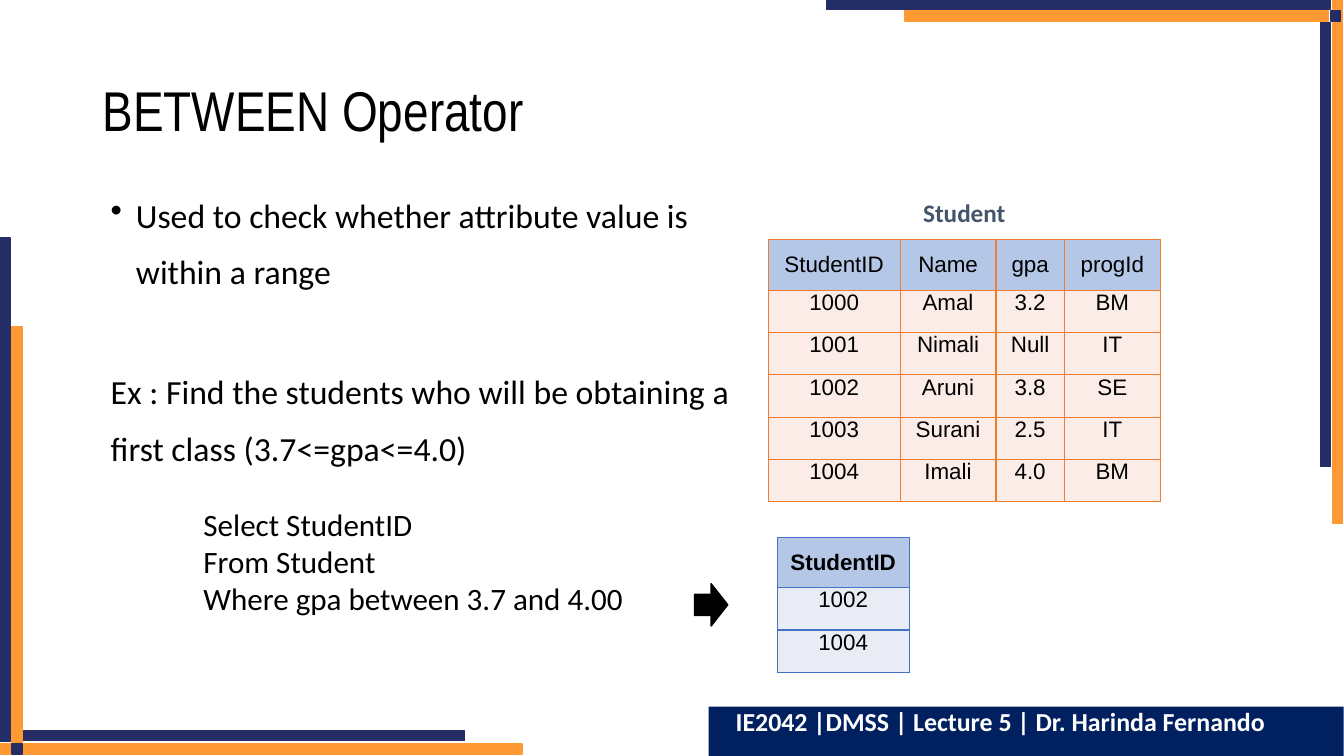
from dataclasses import dataclass
from typing import NamedTuple

from lxml import etree
from pptx import Presentation
from pptx import util as u
from pptx.dml import color as dml
from pptx.enum import shapes, text
from pptx.oxml import ns

COLUMNS, ROWS = 133.33, 75
CELL_INCHES = 0.1


@dataclass(frozen=True)
class Theme:
    navy: str = "242D66"
    orange: str = "FF9933"
    ink: str = "000000"
    caption: str = "44546A"
    banner: str = "002060"
    white: str = "FFFFFF"
    header: str = "B4C7E7"
    student_row: str = "FCECE8"
    student_border: str = "ED7D31"
    answer_row: str = "E9EBF5"
    answer_border: str = "4472C4"
    title_font: str = "Arial Narrow"
    body_font: str = "Calibri"
    table_font: str = "Arial"
    title_size: float = 40
    body_size: float = 24.1
    query_size: float = 22.2
    banner_size: float = 18.5
    caption_size: float = 18
    table_size: float = 16


THEME = Theme()


class Area(NamedTuple):
    left: float
    top: float
    width: float
    height: float


class Style(NamedTuple):
    font: str
    size: float
    color: str = THEME.ink
    bold: bool = False


class Line(NamedTuple):
    words: str
    style: Style
    spacing: float = 1
    before: float = 0
    margin: float = 0
    hanging: float = 0
    bullet: str = ""


class Bar(NamedTuple):
    area: Area
    color: str


class Relation(NamedTuple):
    left: float
    top: float
    widths: list[float]
    records: list[list[str]]
    row_fill: str
    border: str
    bold_header: bool


BODY = Style(THEME.body_font, THEME.body_size)
QUERY = Style(THEME.body_font, THEME.query_size)

BARS = [
    Bar(Area(132.2, -0.1, 1, 52), THEME.orange),
    Bar(Area(131, 2.3, 1, 44), THEME.navy),
    Bar(Area(82, -0.1, 50, 1), THEME.navy),
    Bar(Area(89.8, 1.1, 42, 1), THEME.orange),
    Bar(Area(132, 1.1, 1, 1), THEME.navy),
    Bar(Area(-0.2, 73.8, 52, 1), THEME.orange),
    Bar(Area(2.1, 72.5, 44, 1), THEME.navy),
    Bar(Area(0, 23.6, 1, 50), THEME.navy),
    Bar(Area(1.2, 32.4, 1, 42), THEME.orange),
    Bar(Area(1.2, 73.8, 1, 1), THEME.navy),
]

EXPLANATION = [
    Line("Used to check whether attribute value is within a range", BODY, 1.4,
         margin=3.3, hanging=2.5, bullet="•"),
    Line("Ex : Find the students who will be obtaining a first class (3.7<=gpa<=4.0)",
         BODY, 1.4, before=45, margin=0.8),
    Line("Select StudentID", QUERY, 0.8, before=32, margin=10),
    Line("From Student", QUERY, 0.8, before=5, margin=10),
    Line("Where gpa between 3.7 and 4.00", QUERY, 0.8, before=5, margin=10),
]

STUDENT = Relation(76.2, 23.8, [13.1, 9.5, 6.8, 9.5], [
    ["StudentID", "Name", "gpa", "progId"],
    ["1000", "Amal", "3.2", "BM"],
    ["1001", "Nimali", "Null", "IT"],
    ["1002", "Aruni", "3.8", "SE"],
    ["1003", "Surani", "2.5", "IT"],
    ["1004", "Imali", "4.0", "BM"],
], THEME.student_row, THEME.student_border, False)

ANSWER = Relation(77.1, 53.3, [13.1], [["StudentID"], ["1002"], ["1004"]],
                  THEME.answer_row, THEME.answer_border, True)

HEADER_HEIGHT, RECORD_HEIGHT = 5, 4.2


def cells(count: float) -> u.Length:
    return u.Inches(count * CELL_INCHES)


def place(area: Area) -> list[u.Length]:
    return [cells(length) for length in area]


def paint(fill, color: str) -> None:
    fill.solid()
    fill.fore_color.rgb = dml.RGBColor.from_string(color)


def write(paragraph, line: Line) -> None:
    properties = paragraph._p.get_or_add_pPr()
    properties.set("marL", str(cells(line.margin)))
    properties.set("indent", str(-cells(line.hanging)))
    if line.bullet:
        etree.SubElement(properties, ns.qn("a:buChar")).set("char", line.bullet)
    paragraph.line_spacing = line.spacing
    if line.before:
        paragraph.space_before = u.Pt(line.before)
    run = paragraph.add_run()
    run.text = line.words
    run.font.name = line.style.font
    run.font.size = u.Pt(line.style.size)
    run.font.bold = line.style.bold
    run.font.color.rgb = dml.RGBColor.from_string(line.style.color)


def write_all(frame, lines: list[Line]) -> None:
    for index, line in enumerate(lines):
        paragraph = frame.add_paragraph() if index else frame.paragraphs[0]
        paragraph.alignment = text.PP_ALIGN.LEFT
        write(paragraph, line)


def add_block(slide, preset, area: Area, color: str, outlined: bool = True):
    block = slide.shapes.add_shape(preset, *place(area))
    block.shadow.inherit = False
    paint(block.fill, color)
    if outlined:
        paint(block.line.fill, color)
        block.line.width = u.Pt(1)
    else:
        block.line.fill.background()
    return block


def add_border(cell, color: str) -> None:
    properties = cell._tc.get_or_add_tcPr()
    for side in ("lnL", "lnR", "lnT", "lnB"):
        edge = etree.SubElement(properties, ns.qn(f"a:{side}"), w=str(u.Pt(1)))
        solid = etree.SubElement(edge, ns.qn("a:solidFill"))
        etree.SubElement(solid, ns.qn("a:srgbClr"), val=color)


def add_relation(slide, relation: Relation) -> None:
    heights = [HEADER_HEIGHT] + [RECORD_HEIGHT] * (len(relation.records) - 1)
    area = Area(relation.left, relation.top, sum(relation.widths), sum(heights))
    grid = slide.shapes.add_table(len(heights), len(relation.widths), *place(area)).table
    for column, width in zip(grid.columns, relation.widths):
        column.width = cells(width)
    for index, (record, height) in enumerate(zip(relation.records, heights)):
        is_header = index == 0
        grid.rows[index].height = cells(height)
        style = Style(THEME.table_font, THEME.table_size,
                      bold=is_header and relation.bold_header)
        for cell, value in zip(grid.rows[index].cells, record):
            cell.margin_top = cell.margin_bottom = 0
            cell.vertical_anchor = text.MSO_ANCHOR.MIDDLE if is_header else text.MSO_ANCHOR.TOP
            add_border(cell, relation.border)
            paint(cell.fill, THEME.header if is_header else relation.row_fill)
            write(cell.text_frame.paragraphs[0], Line(value, style))
            cell.text_frame.paragraphs[0].alignment = text.PP_ALIGN.CENTER


def main() -> None:
    deck = Presentation()
    deck.slide_width, deck.slide_height = cells(COLUMNS), cells(ROWS)
    slide = deck.slides.add_slide(deck.slide_layouts[5])

    for bar in BARS:
        add_block(slide, shapes.MSO_SHAPE.RECTANGLE, bar.area, bar.color)

    heading = slide.shapes.title
    heading.left, heading.top, heading.width, heading.height = place(Area(9.2, 4, 115, 14.5))
    heading.text_frame.auto_size = text.MSO_AUTO_SIZE.NONE
    heading.text_frame.vertical_anchor = text.MSO_ANCHOR.MIDDLE
    write_all(heading.text_frame, [
        Line("BETWEEN Operator", Style(THEME.title_font, THEME.title_size), 0.9)])

    explanation = slide.shapes.add_textbox(*place(Area(9.2, 17.2, 68.1, 47.2))).text_frame
    explanation.word_wrap = True
    write_all(explanation, EXPLANATION)

    add_relation(slide, STUDENT)
    add_relation(slide, ANSWER)
    add_block(slide, shapes.MSO_SHAPE.RIGHT_ARROW, Area(68.9, 57.9, 3.3, 4.2), THEME.ink)

    caption = slide.shapes.add_textbox(*place(Area(90.6, 19.1, 10.3, 4))).text_frame
    caption.word_wrap = False
    write_all(caption, [Line("Student", Style(
        THEME.body_font, THEME.caption_size, THEME.caption, True))])

    banner = add_block(slide, shapes.MSO_SHAPE.RECTANGLE, Area(70.3, 70.1, 63, 4.9),
                       THEME.banner, outlined=False)
    banner.text_frame.vertical_anchor = text.MSO_ANCHOR.TOP
    write_all(banner.text_frame, [Line(
        "IE2042 |DMSS | Lecture 5 | Dr. Harinda Fernando",
        Style(THEME.body_font, THEME.banner_size, THEME.white, True), 0.8, margin=1.7)])

    deck.save("out.pptx")


if __name__ == "__main__":
    main()
